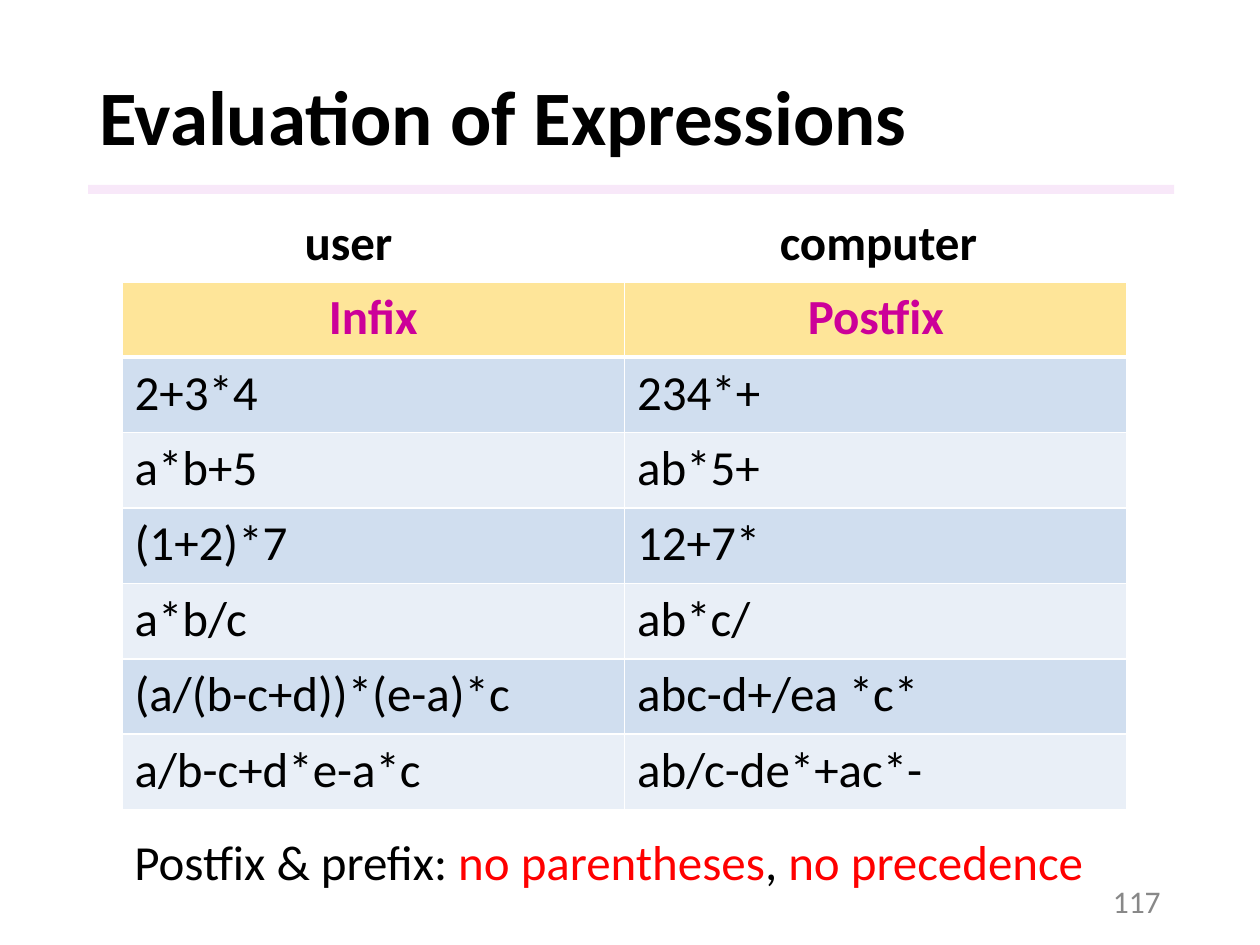
from lxml import etree
from pptx import Presentation
from pptx.dml.color import RGBColor
from pptx.enum.shapes import MSO_SHAPE
from pptx.enum.text import MSO_ANCHOR, PP_ALIGN
from pptx.oxml.ns import qn
from pptx.util import Cm, Pt

RECT = MSO_SHAPE.RECTANGLE
TOP, MIDDLE = MSO_ANCHOR.TOP, MSO_ANCHOR.MIDDLE
LEFT, CENTER, RIGHT = PP_ALIGN.LEFT, PP_ALIGN.CENTER, PP_ALIGN.RIGHT
FONT = "Calibri"
COLORS = {
    "text": "000000", "accent": "CC0099", "alert": "FF0000", "number": "888888",
    "rule": "F3D2F4", "header": "FEE599", "odd": "D0DEEF", "even": "E9EFF7",
    "border": "FFFFFF",
}


def style_run(r, size, color, bold=False):
    r.font.name = FONT
    r.font.size = Pt(size)
    r.font.bold = bold
    r.font.color.rgb = RGBColor.from_string(COLORS[color])


def add_text(x, y, w, h, parts, size, bold=False, align=LEFT, anchor=TOP):
    tf = s.shapes.add_textbox(Cm(x), Cm(y), Cm(w), Cm(h)).text_frame
    tf.word_wrap = True
    tf.vertical_anchor = anchor
    p = tf.paragraphs[0]
    p.alignment = align
    for text, color in parts:
        r = p.add_run()
        r.text = text
        style_run(r, size, color, bold)
    return p


prs = Presentation()
prs.slide_width, prs.slide_height = Cm(25.4), Cm(19.05)
s = prs.slides.add_slide(prs.slide_layouts[6])

sp = s.shapes.add_shape(RECT, Cm(1.78), Cm(3.73), Cm(21.89), Cm(0.18))
sp.shadow.inherit = False
sp.line.fill.background()
sp.fill.solid()
sp.fill.fore_color.rgb = RGBColor.from_string(COLORS["rule"])
clr = sp.fill._xPr.find(".//" + qn("a:srgbClr"))
etree.SubElement(clr, qn("a:alpha"), val="50000")

p = add_text(1.75, 1.02, 21.89, 2.82, [("Evaluation of Expressions", "text")], 44, True, anchor=MIDDLE)
p.line_spacing = 0.9

rows = [
    ("Infix", "Postfix"),
    ("2+3*4", "234*+"),
    ("a*b+5", "ab*5+"),
    ("(1+2)*7", "12+7*"),
    ("a*b/c", "ab*c/"),
    ("(a/(b-c+d))*(e-a)*c", "abc-d+/ea *c*"),
    ("a/b-c+d*e-a*c", "ab/c-de*+ac*-"),
]
table = s.shapes.add_table(len(rows), 2, Cm(2.46), Cm(5.68), Cm(20.26), Cm(1.52 * len(rows))).table
for i, row in enumerate(rows):
    table.rows[i].height = Cm(1.52)
    fill = "header" if i == 0 else "odd" if i % 2 else "even"
    widths = {"L": 1, "R": 1, "T": 3 if i == 1 else 1, "B": 3 if i == 0 else 1}
    for j, text in enumerate(row):
        cell = table.cell(i, j)
        tcPr = cell._tc.get_or_add_tcPr()
        for side, width in widths.items():
            ln = etree.SubElement(tcPr, qn("a:ln" + side), w=str(Pt(width)))
            solid = etree.SubElement(ln, qn("a:solidFill"))
            etree.SubElement(solid, qn("a:srgbClr"), val=COLORS["border"])
        cell.fill.solid()
        cell.fill.fore_color.rgb = RGBColor.from_string(COLORS[fill])
        p = cell.text_frame.paragraphs[0]
        p.text = text
        p.alignment = CENTER if i == 0 else LEFT
        style_run(p.runs[0], 28, "accent" if i == 0 else "text", i == 0)

add_text(17.93, 17.65, 5.72, 1.02, [("117", "number")], 18, align=RIGHT, anchor=MIDDLE)
for x, w, label in [(5.89, 2.31, "user"), (15.47, 4.55, "computer")]:
    p = add_text(x, 4.14, w, 1.45, [(label, "text")], 28, True)
add_text(2.46, 16.64, 19.89, 1.45, [
    ("Postfix & prefix: ", "text"),
    ("no parentheses", "alert"),
    (", ", "text"),
    ("no precedence", "alert"),
], 28)

prs.save("out.pptx")
